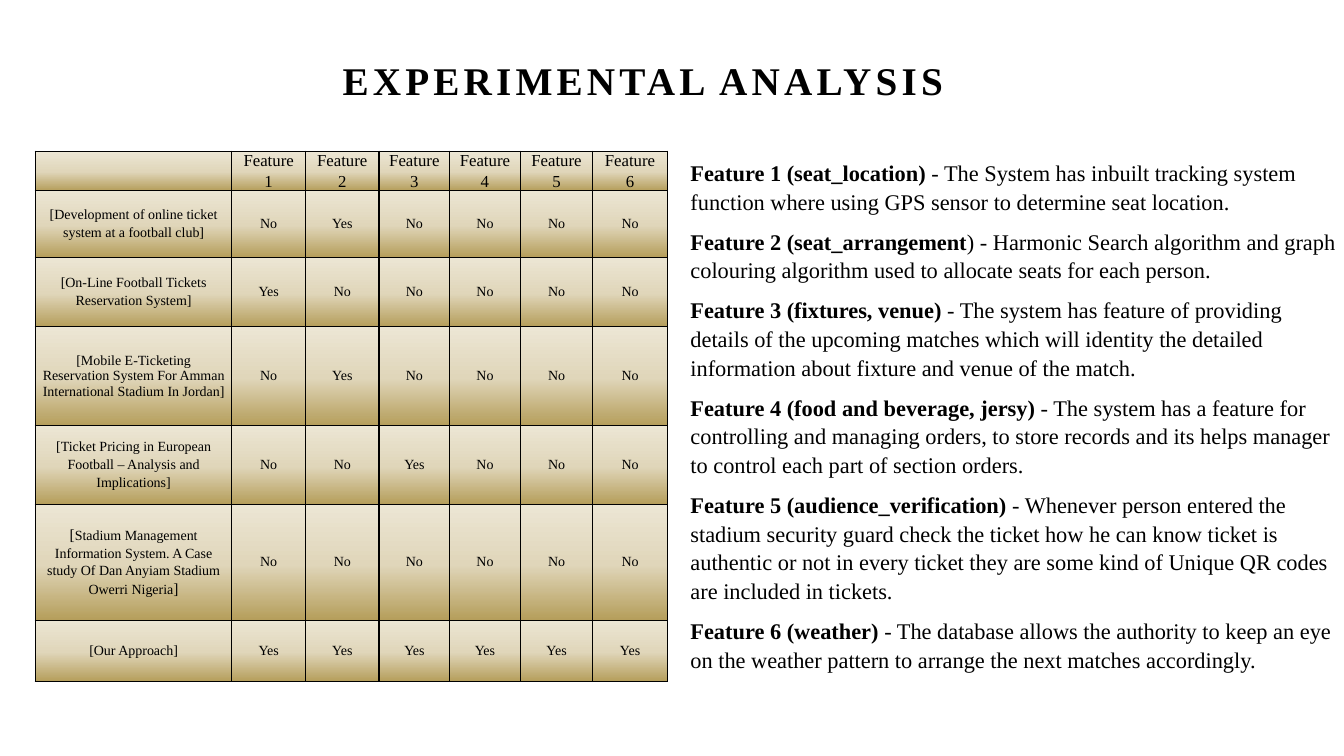
"""Build the experimental analysis slide: a feature comparison table and its legend."""
from dataclasses import dataclass
from itertools import groupby
from typing import Any

from lxml import etree
from pptx import Presentation
from pptx import util as u
from pptx.dml.color import RGBColor
from pptx.enum import text
from pptx.oxml.ns import qn

BLACK = RGBColor(0x00, 0x00, 0x00)
GOLD = RGBColor(0xB5, 0x9E, 0x5B)
SAND = RGBColor(0xE0, 0xD6, 0xBA)
CREAM = RGBColor(0xEC, 0xE6, 0xD4)
GRADIENT = ((0, GOLD), (48, SAND), (100, CREAM))
FONT = "Times New Roman"

COLUMN_WIDTHS = (1.95, 0.73, 0.73, 0.70, 0.70, 0.72, 0.74)
CELL_FORMAT = {
    "vertical_anchor": text.MSO_ANCHOR.MIDDLE,
    "margin_left": u.Inches(0.07),
    "margin_right": u.Inches(0.07),
    "margin_top": 0,
    "margin_bottom": 0,
}
CELL_PARA_FORMAT = {"alignment": text.PP_ALIGN.CENTER, "space_after": u.Pt(1.6)}
LEGEND_PARA_FORMAT = {"line_spacing": 1.07, "space_after": u.Pt(8)}
BOX_FORMAT = {"word_wrap": True, "auto_size": text.MSO_AUTO_SIZE.SHAPE_TO_FIT_TEXT}


@dataclass(frozen=True)
class Study:
    """One table row below the header."""
    title: str
    height: float
    answers: str
    bracket_size: float = 10
    hanging: bool = True


@dataclass(frozen=True)
class Feature:
    """One entry of the legend."""
    name: str
    description: str


STUDIES = (
    Study("[Development of online ticket\nsystem at a football club]", 0.66, "No Yes No No No No"),
    Study("[On-Line Football Tickets\nReservation System]", 0.69, "Yes No No No No No"),
    Study("[Mobile E-Ticketing Reservation System For Amman International Stadium In Jordan]",
          0.98, "No Yes No No No No", hanging=False),
    Study("[Ticket Pricing in European\nFootball – Analysis and\nImplications]",
          0.78, "No No Yes No No No"),
    Study("[Stadium Management\nInformation System. A Case\nstudy Of Dan Anyiam Stadium\nOwerri Nigeria]",
          1.15, "No No No No No No", bracket_size=11),
    Study("[Our Approach]", 0.61, "Yes Yes Yes Yes Yes Yes"),
)
FEATURES = (
    Feature("Feature 1 (seat_location) ",
            "- The System has inbuilt tracking system function where using GPS sensor "
            "to determine seat location."),
    Feature("Feature 2 (seat_arrangement",
            ") - Harmonic Search algorithm and graph colouring algorithm used to allocate "
            "seats for each person."),
    Feature("Feature 3 (fixtures, venue) ",
            "- The system has feature of providing details of the upcoming matches which will "
            "identity the detailed information about fixture and venue of the match."),
    Feature("Feature 4 (food and beverage, jersy) ",
            "- The system has a feature for controlling and managing orders, to store records "
            "and its helps manager to control each part of section orders."),
    Feature("Feature 5 (audience_verification) ",
            "- Whenever person entered the stadium security guard check the ticket how he can "
            "know ticket is authentic or not in every ticket they are some kind of Unique QR "
            "codes are included in tickets."),
    Feature("Feature 6 (weather) ",
            "- The database allows the authority to keep an eye on the weather pattern to "
            "arrange the next matches accordingly."),
)


def apply(target: Any, values: dict[str, Any]) -> None:
    """Set every named attribute on the target."""
    for name, value in values.items():
        setattr(target, name, value)


def add_span(para: Any, words: str, size: float, bold: bool = False) -> Any:
    """Append a formatted run to a paragraph."""
    span = para.add_run()
    span.text = words
    apply(span.font, {"name": FONT, "size": u.Pt(size), "bold": bold})
    span.font.color.rgb = BLACK
    return span


def next_para(frame: Any, index: int) -> Any:
    """Return the first paragraph of a frame, or a new one after it."""
    return frame.add_paragraph() if index else frame.paragraphs[0]


def add_color(parent: Any, color: RGBColor) -> None:
    """Append a colour element."""
    etree.SubElement(parent, qn("a:srgbClr"), val=str(color))


def paint_cell(cell: Any) -> None:
    """Give a cell its margins, black borders and gold gradient."""
    apply(cell, CELL_FORMAT)
    properties = cell._tc.get_or_add_tcPr()
    for side in "LRTB":
        line = etree.SubElement(properties, qn(f"a:ln{side}"), w=str(u.Pt(1)))
        add_color(etree.SubElement(line, qn("a:solidFill")), BLACK)
    gradient = etree.SubElement(properties, qn("a:gradFill"), rotWithShape="1")
    stops = etree.SubElement(gradient, qn("a:gsLst"))
    for percent, color in GRADIENT:
        add_color(etree.SubElement(stops, qn("a:gs"), pos=str(percent * 1000)), color)
    etree.SubElement(gradient, qn("a:lin"), ang=str(270 * 60000), scaled="0")


def write_cell(cell: Any, words: str, size: float = 10, bracket_size: float = 10,
               hanging: bool = True) -> None:
    """Write centred lines, sizing square brackets on their own."""
    for index, line in enumerate(words.split("\n")):
        para = next_para(cell.text_frame, index)
        apply(para, CELL_PARA_FORMAT)
        if hanging:
            properties = para._p.get_or_add_pPr()
            properties.set("marL", str(u.Inches(0.25)))
            properties.set("indent", str(u.Inches(-0.26)))
        for span_size, letters in groupby(line, lambda c: bracket_size if c in "[]" else size):
            add_span(para, "".join(letters), span_size)


def add_comparison(page: Any) -> None:
    """Draw the table of studies against features."""
    heights = (0.37, *(study.height for study in STUDIES))
    table = page.shapes.add_table(
        len(heights), len(COLUMN_WIDTHS), u.Inches(0.35), u.Inches(1.5),
        u.Inches(sum(COLUMN_WIDTHS)), u.Inches(sum(heights))).table
    apply(table, {"first_row": False, "horz_banding": False})
    for column, width in zip(table.columns, COLUMN_WIDTHS):
        column.width = u.Inches(width)
    for row, height in zip(table.rows, heights):
        row.height = u.Inches(height)
    for cell in table.iter_cells():
        paint_cell(cell)
    for number in range(1, len(COLUMN_WIDTHS)):
        write_cell(table.cell(0, number), f"Feature\n{number}", size=12)
    for row, study in enumerate(STUDIES, 1):
        write_cell(table.cell(row, 0), study.title, bracket_size=study.bracket_size,
                   hanging=study.hanging)
        for column, answer in enumerate(study.answers.split(), 1):
            write_cell(table.cell(row, column), answer)


def add_box(page: Any, left: float, top: float, width: float, height: float) -> Any:
    """Add a wrapping text box and return its text frame."""
    box = page.shapes.add_textbox(*map(u.Inches, (left, top, width, height)))
    apply(box.text_frame, BOX_FORMAT)
    return box.text_frame


def add_title(page: Any) -> None:
    """Write the letter-spaced slide title."""
    frame = add_box(page, 3.3, 0.51, 6.37, 0.57)
    span = add_span(frame.paragraphs[0], "EXPERIMENTAL ANALYSIS", 28, bold=True)
    span.font._element.set("spc", "300")


def add_legend(page: Any) -> None:
    """Write one paragraph for each feature."""
    frame = add_box(page, 6.75, 1.51, 6.67, 5.27)
    for index, feature in enumerate(FEATURES):
        para = next_para(frame, index)
        apply(para, LEGEND_PARA_FORMAT)
        add_span(para, feature.name, 16, bold=True)
        add_span(para, feature.description, 16)


def main() -> None:
    """Assemble and save the deck."""
    deck = Presentation()
    apply(deck, {"slide_width": u.Inches(13.33), "slide_height": u.Inches(7.5)})
    page = deck.slides.add_slide(deck.slide_layouts[6])
    add_comparison(page)
    add_title(page)
    add_legend(page)
    deck.save("out.pptx")


if __name__ == "__main__":
    main()
